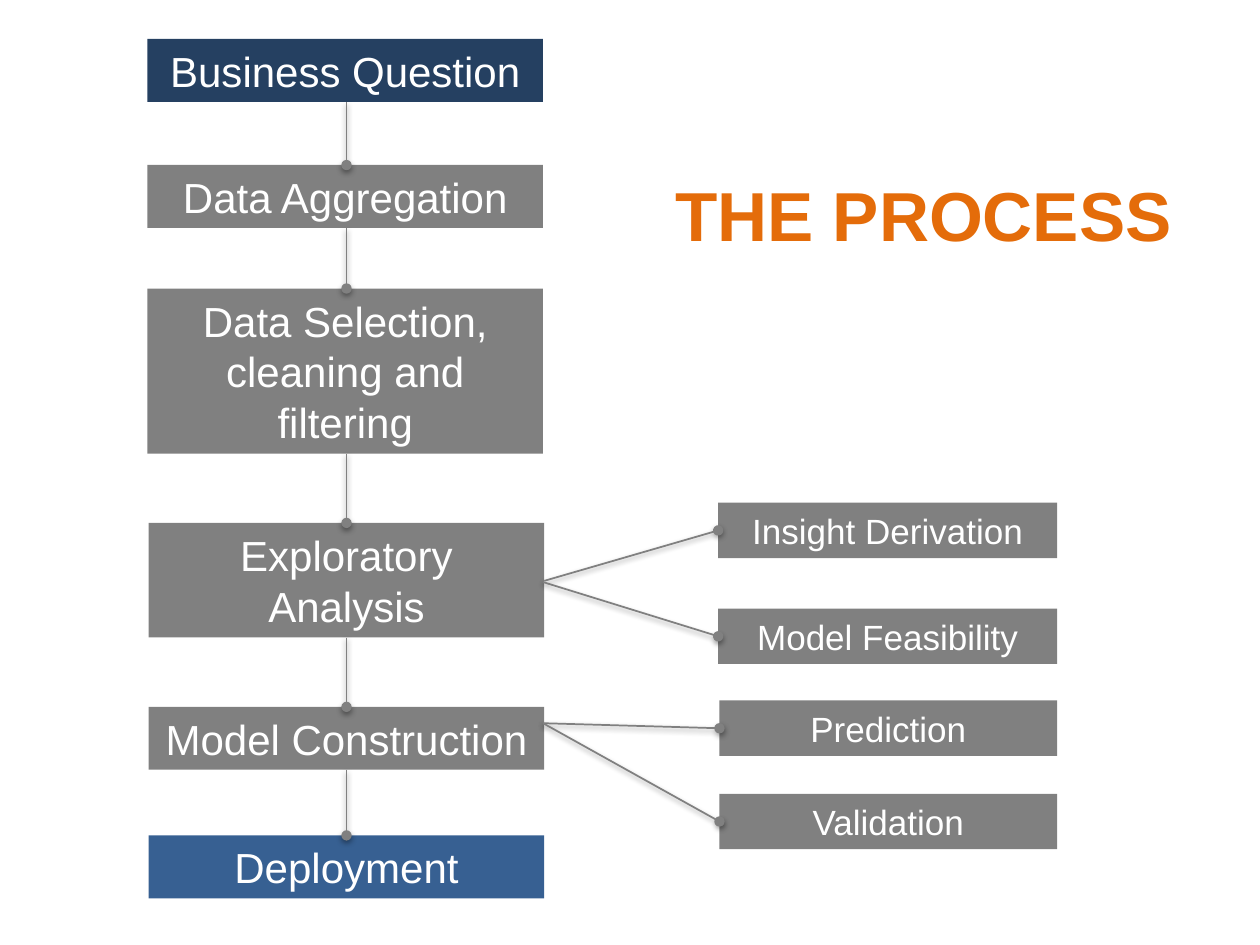
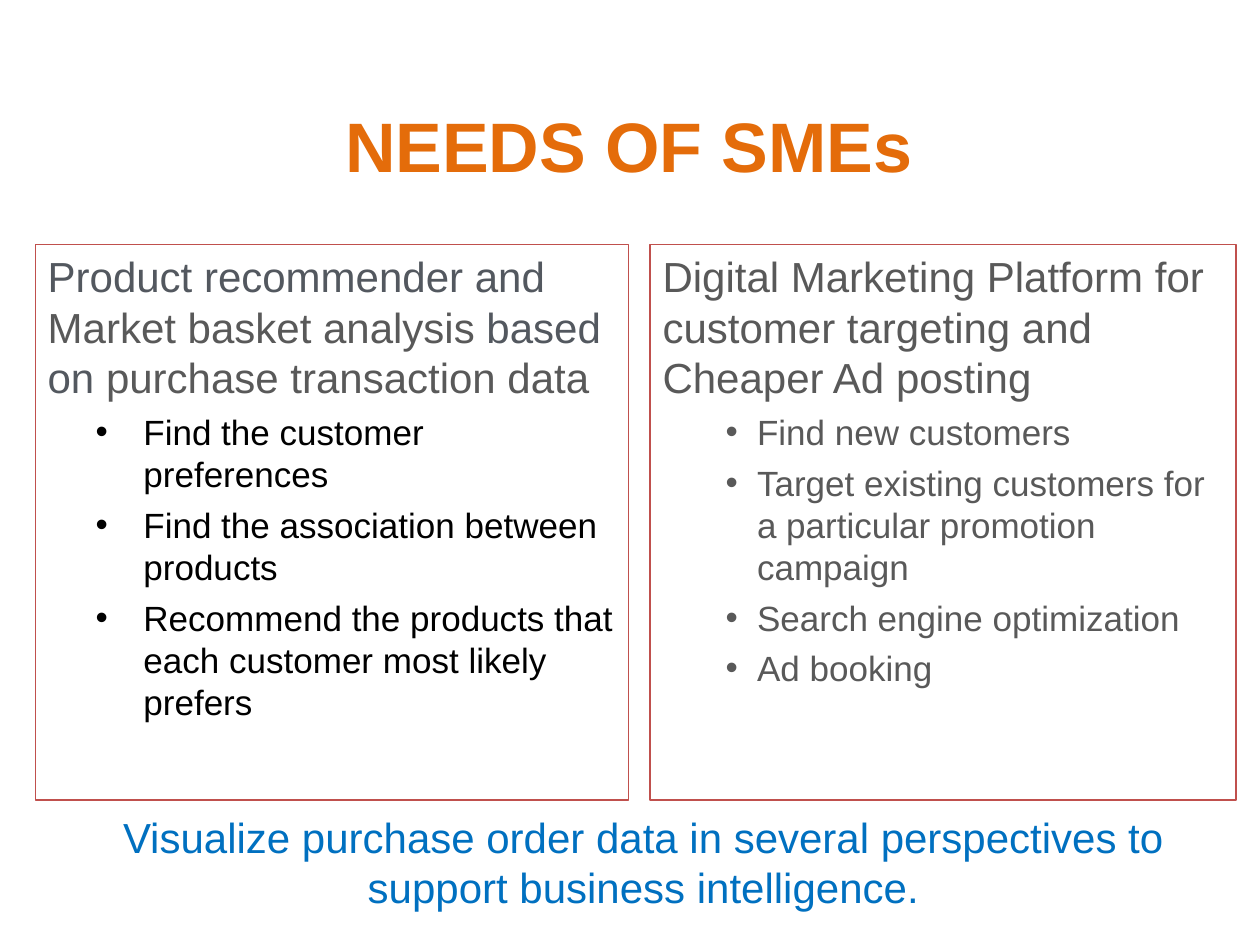
"""Builds two slides: the analysis process as a flow, and the needs of SMEs."""
from lxml import etree
from pptx import Presentation
from pptx import util as u
from pptx.dml.color import RGBColor
from pptx.enum import shapes, text
from pptx.oxml import ns

PX = 9144
FONT = "Arial"
HUES = {"title": "E46C0A", "step": "808080", "start": "254061", "end": "376092",
        "white": "FFFFFF", "black": "000000", "slate": "53585F", "gray": "595959",
        "edge": "C0504D", "note": "0070C0"}
SHADE = {"blurRad": "40000", "dist": "20000", "dir": "5400000", "rotWithShape": "0"}


def style(para, size, hue, bold=False):
    for run in para.runs:
        run.font.name, run.font.size, run.font.bold = FONT, u.Pt(size), bold
        run.font.color.rgb = RGBColor.from_string(HUES[hue])


def block(page, spot, fill=None):
    box = page.shapes.add_shape(shapes.MSO_SHAPE.RECTANGLE, *[n * PX for n in spot])
    box.shadow.inherit = False
    if fill:
        box.fill.solid()
        box.fill.fore_color.rgb = RGBColor.from_string(HUES[fill])
        box.line.fill.background()
    else:
        box.fill.background()
        box.line.color.rgb = RGBColor.from_string(HUES["edge"])
        box.line.width = u.Pt(0.75)
    box.text_frame.word_wrap = True
    return box.text_frame


deck = Presentation()
deck.slide_width, deck.slide_height = 1000 * PX, 750 * PX

pages = []
for words, size, spot in [("THE PROCESS", 39.6, (516, 107, 434, 125)),
                          ("NEEDS OF SMEs", 40, (49, 52, 900, 125))]:
    page = deck.slides.add_slide(deck.slide_layouts[5])
    head = page.shapes.title
    head.left, head.top, head.width, head.height = [n * PX for n in spot]
    head.text_frame.text = words
    head.text_frame.vertical_anchor = text.MSO_ANCHOR.MIDDLE
    head.text_frame.paragraphs[0].alignment = text.PP_ALIGN.CENTER
    style(head.text_frame.paragraphs[0], size, "title", True)
    pages.append(page)
flow, needs = pages

steps = [("Business Question", 117, 31, 50, "start"),
         ("Data Aggregation", 117, 131, 50, "step"),
         ("Data Selection, cleaning and filtering", 117, 229, 131, "step"),
         ("Exploratory Analysis", 118, 415, 91, "step"),
         ("Model Construction", 118, 561, 50, "step"),
         ("Deployment", 118, 663, 50, "end")]
tasks = [("Insight Derivation", 570, 399, 269), ("Model Feasibility", 570, 483, 269),
         ("Prediction", 571, 556, 268), ("Validation", 571, 630, 268)]
boxes = [(words, (left, top, 314, high), hue, 24) for words, left, top, high, hue in steps]
boxes += [(words, (left, top, wide, 44), "step", 20) for words, left, top, wide in tasks]
for words, spot, hue, size in boxes:
    frame = block(flow, spot, hue)
    frame.text = words
    frame.paragraphs[0].alignment = text.PP_ALIGN.CENTER
    style(frame.paragraphs[0], size, "white")

links = [(275, above[2] + above[3], 275, below[2])
         for above, below in zip(steps, steps[1:])]
forks = [(432, 461), (431, 462), (431, 574), (431, 574)]
links += [(*fork, task[1], task[2] + 22) for fork, task in zip(forks, tasks)]
for ends in links:
    link = flow.shapes.add_connector(shapes.MSO_CONNECTOR.STRAIGHT, *[n * PX for n in ends])
    link.line.color.rgb = RGBColor.from_string(HUES["step"])
    link.line.width = u.Pt(1)
    etree.SubElement(link.line._get_or_add_ln(), ns.qn("a:tailEnd"), type="oval")
    glow = etree.SubElement(link._element.spPr, ns.qn("a:effectLst"))
    cast = etree.SubElement(glow, ns.qn("a:outerShdw"), SHADE)
    tint = etree.SubElement(cast, ns.qn("a:srgbClr"), val=HUES["black"])
    etree.SubElement(tint, ns.qn("a:alpha"), val="38000")

panels = [
    ((28, 194, 471, 441),
     [("Product recommender and ", "slate"), ("Market basket analysis", "gray"),
      (" based on ", "slate"), ("purchase transaction data", "gray")],
     ["Find the customer preferences", "Find the association between products",
      "Recommend the products that each customer most likely prefers"],
     "black", 76, 38),
    ((516, 194, 465, 441),
     [("Digital Marketing Platform for customer targeting and Cheaper Ad posting", "gray")],
     ["Find new customers",
      "Target existing customers for a particular promotion campaign",
      "Search engine optimization", "Ad booking"],
     "gray", 75, 25)]
for spot, lead, items, hue, left, hang in panels:
    frame = block(needs, spot)
    frame.vertical_anchor = text.MSO_ANCHOR.TOP
    para = frame.paragraphs[0]
    para.alignment = text.PP_ALIGN.LEFT
    for words, _ in lead:
        para.add_run().text = words
    style(para, 24, "gray")
    for run, (_, tone) in zip(para.runs, lead):
        run.font.color.rgb = RGBColor.from_string(HUES[tone])
    for item in items:
        para = frame.add_paragraph()
        para.text = item
        para.alignment = text.PP_ALIGN.LEFT
        para.space_before = u.Pt(5)
        props = para._p.get_or_add_pPr()
        props.set("marL", str(left * PX))
        props.set("indent", str(-hang * PX))
        etree.SubElement(props, ns.qn("a:buFont"), typeface=FONT)
        etree.SubElement(props, ns.qn("a:buChar"), char="•")
        style(para, 20, hue)

note = needs.shapes.add_textbox(*[n * PX for n in (71, 639, 879, 91)]).text_frame
note.word_wrap = True
note.text = "Visualize purchase order data in several perspectives to support business intelligence."
note.paragraphs[0].alignment = text.PP_ALIGN.CENTER
style(note.paragraphs[0], 24, "note")

deck.save("out.pptx")
